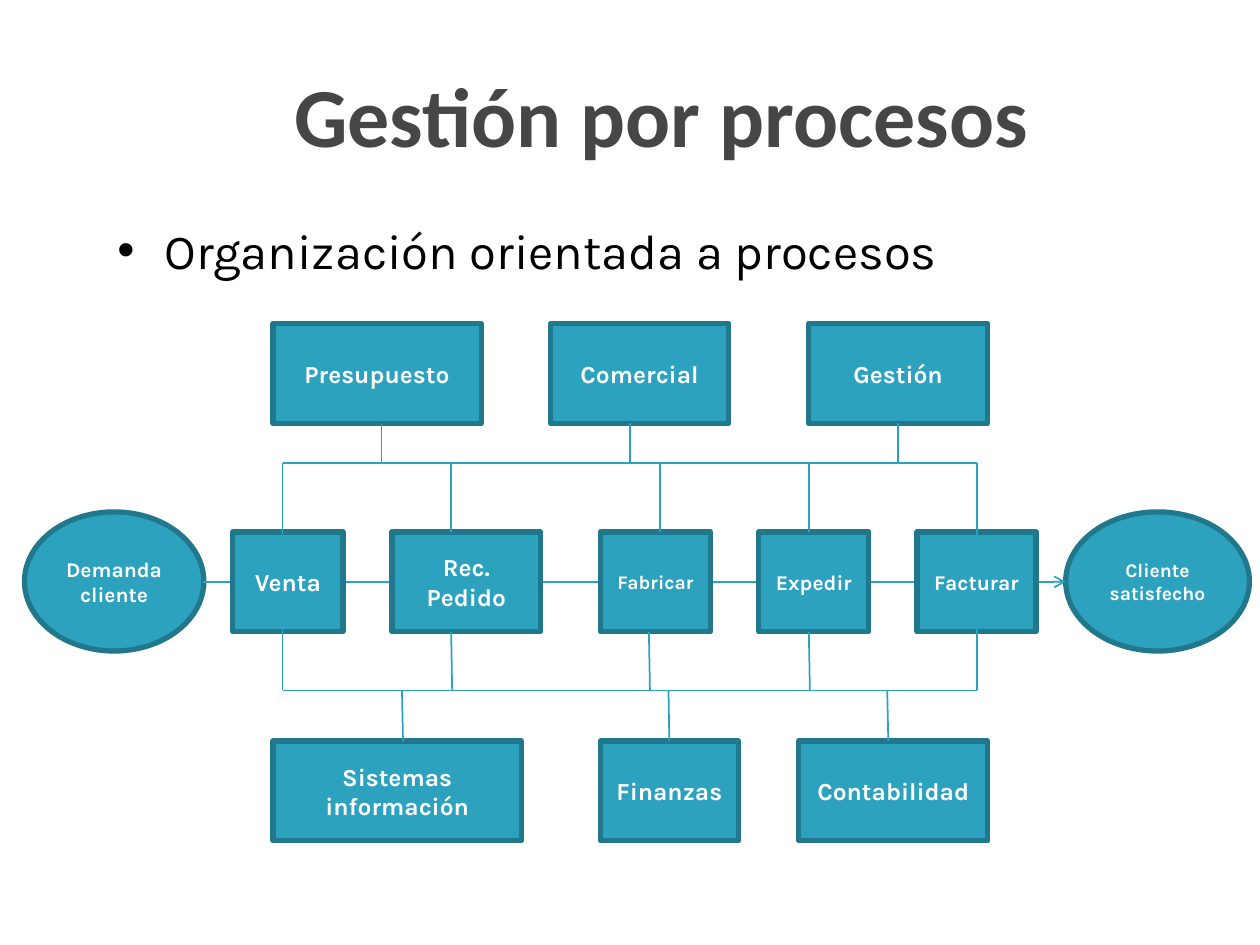
from pptx import Presentation
from pptx.dml.color import RGBColor as RGB
from pptx.enum.shapes import MSO_CONNECTOR as Conn, MSO_SHAPE as Kind
from pptx.enum.text import MSO_ANCHOR as Anchor, PP_ALIGN as Align
from pptx.oxml.ns import qn
from pptx.util import Pt
from lxml.etree import SubElement as Sub

TEAL = RGB(0x2D, 0xA2, 0xBF)
EDGE = RGB(0x21, 0x78, 0x8D)
GREY = RGB(0x46, 0x46, 0x46)
BLACK = RGB(0, 0, 0)
WHITE = RGB(0xFF, 0xFF, 0xFF)
BOX_H = 57
TOP, MID, LOW = 185, 304, 423.5
BUS_UP, BUS_LOW = 264.5, 394.5
LEFT, RIGHT = 161.5, 558.5
FLOW = 332.5


class Sketch:
    """Draws text, boxes and lines on one slide in a shared style."""

    def __init__(self, slide, font="Karla"):
        self.slide = slide
        self.font = font

    def add_run(self, para, text, size, color, bold=False, font=None):
        run = para.add_run()
        run.text = text
        run.font.name = font or self.font
        run.font.size = Pt(size)
        run.font.bold = bold
        run.font.color.rgb = color

    def label(self, x, y, w, h, text, size, color, bold=False, font=None,
              align=Align.LEFT, anchor=Anchor.TOP, bullet=None):
        frame = self.slide.shapes.add_textbox(Pt(x), Pt(y), Pt(w), Pt(h)).text_frame
        frame.word_wrap = True
        frame.vertical_anchor = anchor
        para = frame.paragraphs[0]
        para.alignment = align
        props = para._p.get_or_add_pPr()
        props.set("marL", str(Pt(27)))
        props.set("indent", str(-Pt(27)))
        if bullet:
            para.space_before = Pt(size * 0.2)
            Sub(props, qn("a:buFont"), typeface="Arial")
            Sub(props, qn("a:buChar"), char=bullet)
        self.add_run(para, text, size, color, bold, font)

    def box(self, x, y, w, text, size=14, h=BOX_H, kind=Kind.RECTANGLE):
        shape = self.slide.shapes.add_shape(kind, Pt(x), Pt(y), Pt(w), Pt(h))
        shape.shadow.inherit = False
        shape.fill.solid()
        shape.fill.fore_color.rgb = TEAL
        shape.line.color.rgb = EDGE
        shape.line.width = Pt(3)
        frame = shape.text_frame
        frame.word_wrap = True
        frame.vertical_anchor = Anchor.MIDDLE
        para = frame.paragraphs[0]
        para.alignment = Align.CENTER
        self.add_run(para, text, size, WHITE, True)
        return shape

    def line(self, x1, y1, x2, y2, arrow=False):
        link = self.slide.shapes.add_connector(
            Conn.STRAIGHT, Pt(x1), Pt(y1), Pt(x2), Pt(y2))
        link.line.color.rgb = TEAL
        link.line.width = Pt(1)
        if arrow:
            Sub(link.line._get_or_add_ln(), qn("a:tailEnd"), type="arrow")
        Sub(link._element.spPr, qn("a:effectLst"))
        return link


def main():
    deck = Presentation()
    deck.slide_width, deck.slide_height = Pt(720), Pt(540)
    art = Sketch(deck.slides.add_slide(deck.slide_layouts[6]))

    art.label(54, 20, 648, 90, "Gestión por procesos", 48, GREY, True,
              "Calibri", Align.CENTER, Anchor.MIDDLE)
    art.label(60, 122.5, 552, 356, "Organización orientada a procesos", 28,
              BLACK, bullet="•")

    art.box(156, TOP, 119, "Presupuesto")
    art.box(314.5, TOP, 102, "Comercial")
    admin = art.box(462, TOP, 102.5, "Gestión")
    art.box(156, LOW, 142, "Sistemas información")
    money = art.box(343, LOW, 79, "Finanzas")
    art.box(456.5, LOW, 108, "Contabilidad")

    for x, w, text, size in ((14, 102.5, "Demanda cliente", 12),
                             (609, 105, "Cliente satisfecho", 11)):
        art.box(x, 292.5, w, text, size, 79.5, Kind.OVAL)
    art.line(116, FLOW, 609, FLOW, arrow=True)

    for x, w, text, size in ((133, 63, "Venta", 14),
                             (224, 85, "Rec. Pedido", 14),
                             (343, 63, "Fabricar", 11),
                             (433.5, 63, "Expedir", 12),
                             (524, 68, "Facturar", 12)):
        art.box(x, MID, w, text, size)

    for y in (BUS_UP, BUS_LOW):
        art.line(LEFT, y, RIGHT, y)
    for x in (LEFT, RIGHT):
        art.line(x, BUS_LOW, x, BUS_UP)

    for x in (218, 360):
        art.line(x, TOP + BOX_H, x, BUS_UP)
    art.line(513.25, TOP + BOX_H, 513.25, BUS_UP).begin_connect(admin, 2)

    for x in (229.7, 507):
        art.line(x, BUS_LOW, x + 0.6, LOW)
    art.line(382, BUS_LOW, 382.5, LOW).end_connect(money, 0)

    for x in (257.8, 370.8, 462.2):
        art.line(x, MID + BOX_H, x + 0.6, BUS_LOW)
    for x in (257.8, 377, 462.2):
        art.line(x, BUS_UP, x, MID)

    deck.save("out.pptx")


if __name__ == "__main__":
    main()
